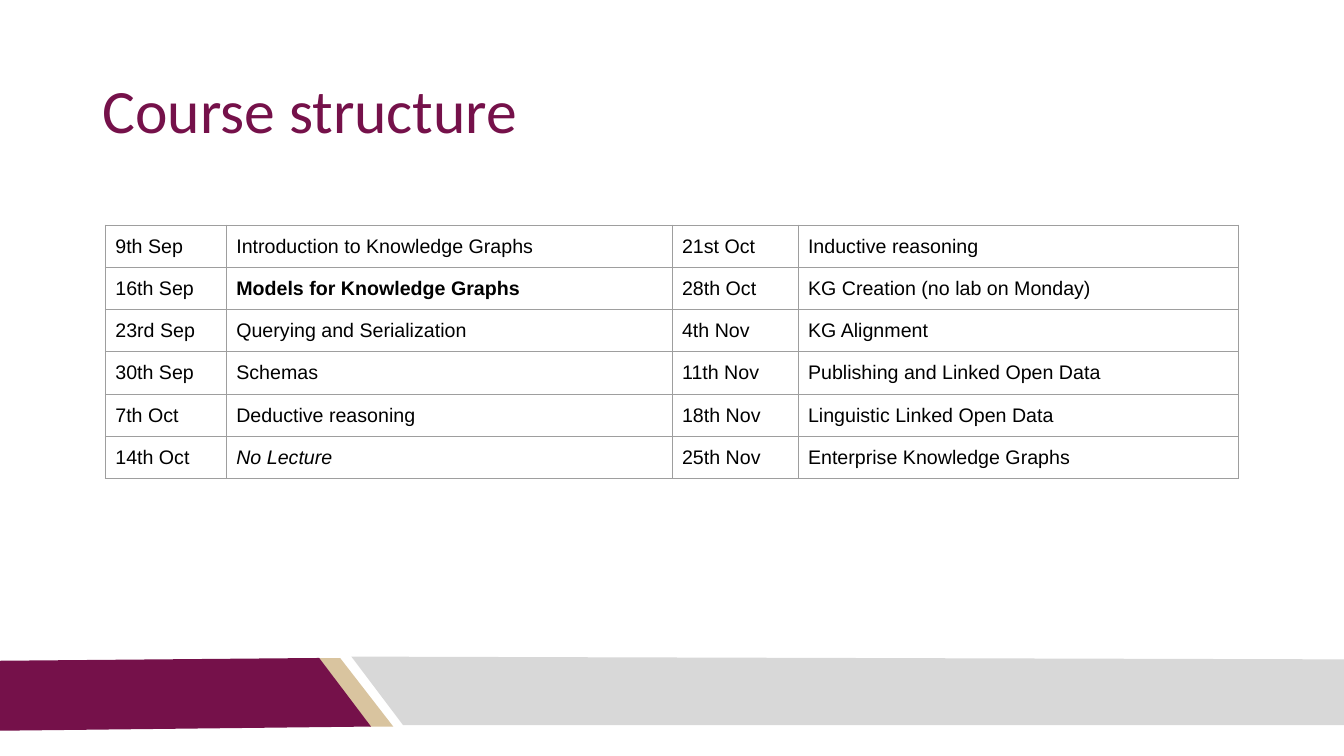
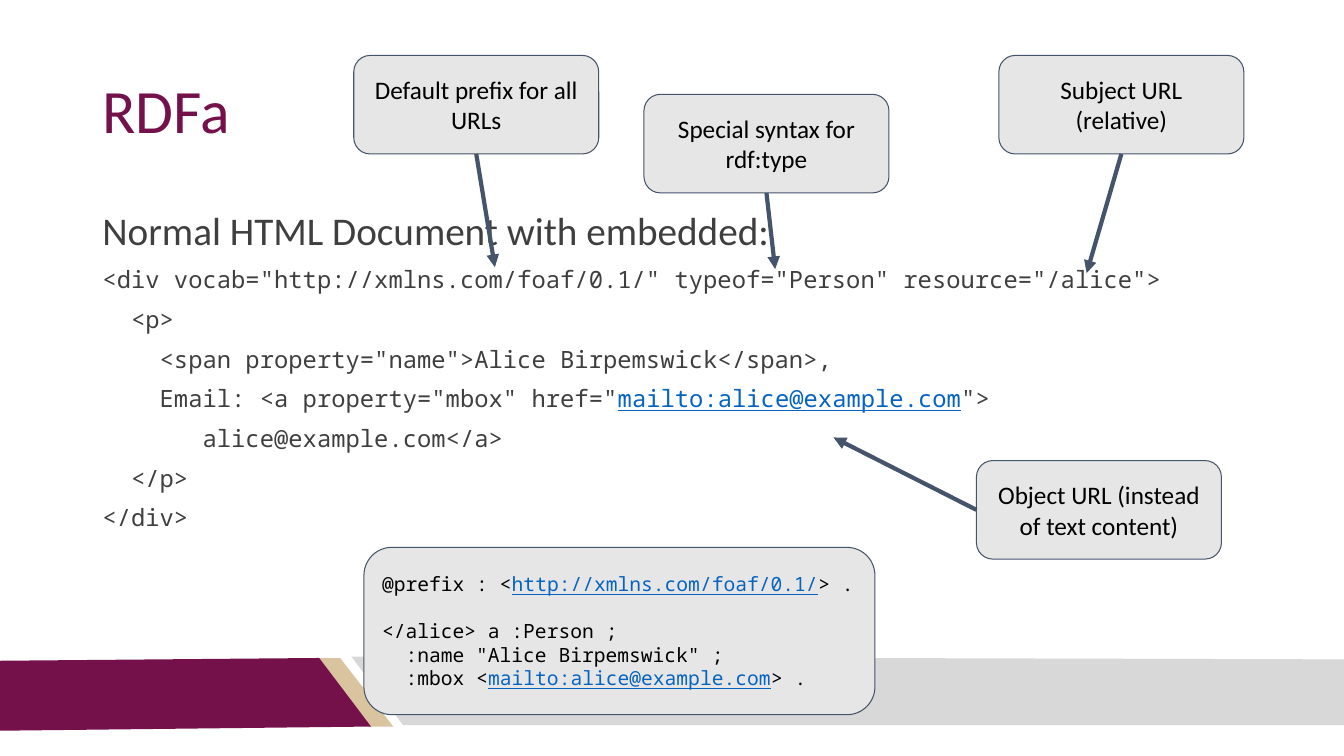
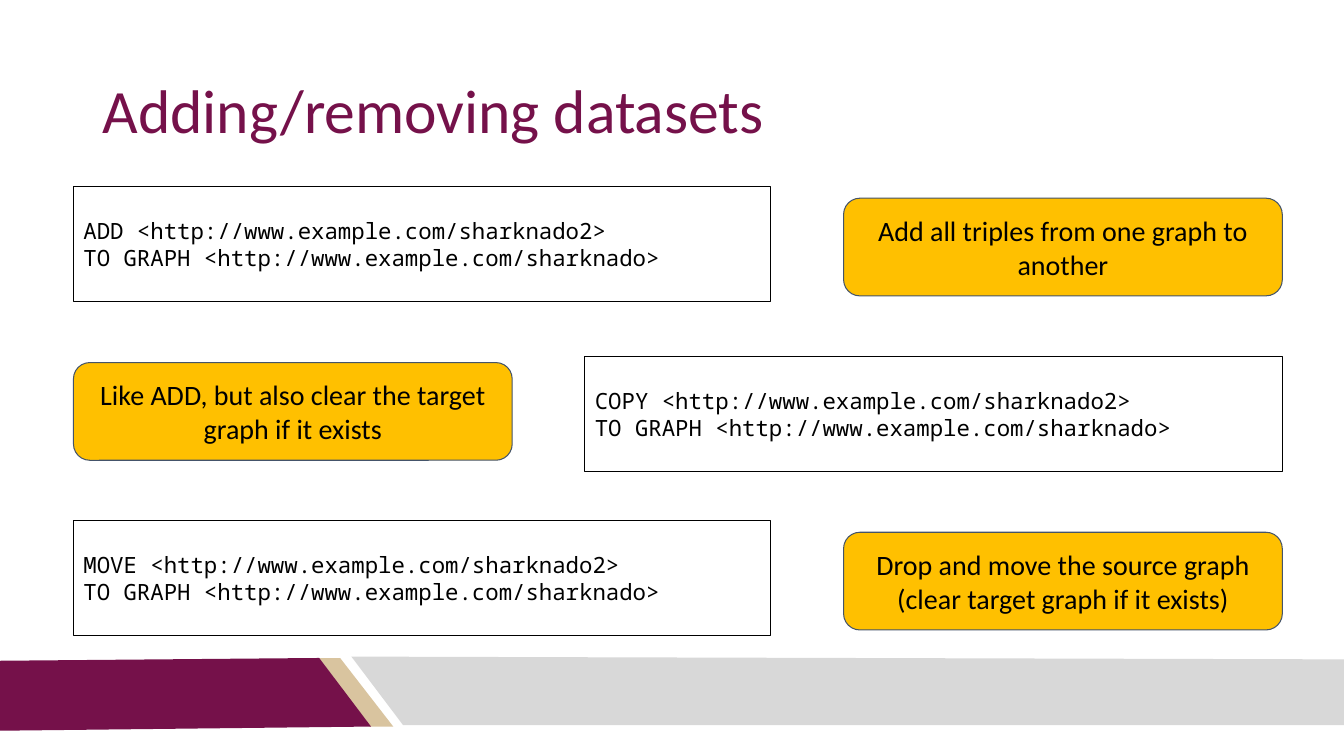
from lxml.etree import SubElement
from pptx import Presentation
from pptx.dml.color import RGBColor
from pptx.enum.shapes import MSO_CONNECTOR as Connector, MSO_SHAPE as Preset
from pptx.enum.text import MSO_ANCHOR as Anchor, MSO_AUTO_SIZE as AutoSize, PP_ALIGN as Align
from pptx.oxml import parse_xml
from pptx.oxml.ns import nsdecls, qn
from pptx.util import Pt

COLORS = {
    "maroon": "75114A", "tan": "D9C49F", "band": "D8D8D8", "body": "3F3F3F",
    "black": "000000", "white": "FFFFFF", "link": "0563C1", "slate": "44546A",
    "callout": "E7E6E6", "note": "FFC000", "grid": "9E9E9E",
}
SANS, MONO, TABLE_FONT = "Calibri", "Noto Sans Mono", "Arial"
INSET = 7.2
TITLE_BOX = (66, 28.8, 828, 104.4)
BODY_BOX = (66, 144, 828, 300)
BANDS = [
    ("tan", [(227.5, 470.2), (243.4, 470.2), (280.8, 519.1), (264.2, 519.1)]),
    ("maroon", [(0, 471.6), (228.2, 470.2), (265, 519.1), (0, 522)]),
    ("band", [(251.3, 468.7), (960, 470.9), (960, 517.7), (288, 517.7)]),
]

SCHEDULE = [
    ("9th Sep", "Introduction to Knowledge Graphs", "21st Oct", "Inductive reasoning"),
    ("16th Sep", "Models for Knowledge Graphs", "28th Oct", "KG Creation (no lab on Monday)"),
    ("23rd Sep", "Querying and Serialization", "4th Nov", "KG Alignment"),
    ("30th Sep", "Schemas", "11th Nov", "Publishing and Linked Open Data"),
    ("7th Oct", "Deductive reasoning", "18th Nov", "Linguistic Linked Open Data"),
    ("14th Oct", "No Lecture", "25th Nov", "Enterprise Knowledge Graphs"),
]
CURRENT_TOPIC, FREE_WEEK = "Models for Knowledge Graphs", "No Lecture"

# In a tuple, every second piece is styled as a link
RDFA_CODE = [
    '<div vocab="http://xmlns.com/foaf/0.1/" typeof="Person" resource="/alice">',
    "  <p>",
    '    <span property="name">Alice Birpemswick</span>,',
    ('    Email: <a property="mbox" href="', "mailto:alice@example.com", '">'),
    "       alice@example.com</a>",
    "  </p>",
    "</div>",
]
TURTLE_PREFIX = ("@prefix : <", "http://xmlns.com/foaf/0.1/", "> .")
TURTLE_TRIPLES = [
    "</alice> a :Person ;",
    '  :name "Alice Birpemswick" ;',
    ("  :mbox <", "mailto:alice@example.com", "> ."),
]

# Callout text, left, top, connection site (1 left, 2 bottom), arrow tip
CALLOUT_SIZE = (175, 70.4)
CALLOUTS = [
    ("Default prefix for all URLs", 252.7, 39.6, 2, (353.5, 190.8)),
    ("Special syntax for rdf:type", 460, 67.4, 2, (553.7, 192.2)),
    ("Subject URL (relative)", 713.5, 39.6, 2, (776.2, 195.1)),
    ("Object URL (instead of text content)", 697.5, 329, 1, (595.4, 312.5)),
]

# Command, explanation, top of the code, top of the note, code on the left
DATASET_ROWS = [
    ("ADD", "Add all triples from one graph to another", 133.2, 141.6, True),
    ("COPY", "Like ADD, but also clear the target graph if it exists", 254.5, 259, False),
    ("MOVE", "Drop and move the source graph (clear target graph if it exists)", 371.6, 380.2, True),
]


def rgb(name):
    return RGBColor.from_string(COLORS[name])


def points(values):
    return [Pt(value) for value in values]


def write_text(frame, lines, font=SANS, size=18, color="black", bold=False, italic=False,
               align=Align.LEFT, spacing=None, before=0):
    """Add lines to a frame; the frame's first paragraph gets no space before."""
    for line in lines:
        first = not frame.paragraphs[0].runs
        paragraph = frame.paragraphs[0] if first else frame.add_paragraph()
        paragraph.alignment = align
        paragraph.space_before = Pt(0 if first else before)
        if spacing:
            paragraph.line_spacing = spacing
        for index, piece in enumerate((line,) if isinstance(line, str) else line):
            is_link = index % 2 == 1
            run = paragraph.add_run()
            run.text = piece
            run.font.name, run.font.size = font, Pt(size)
            run.font.bold, run.font.italic = bold, italic
            run.font.color.rgb = rgb("link" if is_link else color)
            if is_link:
                run.font.underline = True


def set_up_frame(frame, anchor):
    frame.word_wrap = True
    frame.auto_size = AutoSize.NONE
    frame.vertical_anchor = anchor
    frame.margin_left = frame.margin_right = frame.margin_top = frame.margin_bottom = Pt(INSET)
    return frame


def place_placeholder(placeholder, box, anchor):
    placeholder.left, placeholder.top, placeholder.width, placeholder.height = points(box)
    return set_up_frame(placeholder.text_frame, anchor)


def add_panel(slide, box, preset, fill, line):
    panel = slide.shapes.add_shape(preset, *points(box))
    panel.shadow.inherit = False
    panel.fill.solid()
    panel.fill.fore_color.rgb = rgb(fill)
    panel.line.color.rgb = rgb(line)
    panel.line.width = Pt(0.75)
    set_up_frame(panel.text_frame, Anchor.MIDDLE)
    return panel


def add_bands(slide):
    for color, corners in BANDS:
        outline = slide.shapes.build_freeform(*corners[0], scale=Pt(1))
        outline.add_line_segments(corners[1:], close=True)
        band = outline.convert_to_shape()
        band.shadow.inherit = False
        band.fill.solid()
        band.fill.fore_color.rgb = rgb(color)
        band.line.fill.background()


def start_slide(deck, layout, title):
    slide = deck.slides.add_slide(deck.slide_layouts.get_by_name(layout))
    add_bands(slide)
    frame = place_placeholder(slide.shapes.title, TITLE_BOX, Anchor.MIDDLE)
    write_text(frame, [title], size=44, color="maroon", spacing=0.9)
    return slide


def set_borders(cell):
    properties = cell._tc.get_or_add_tcPr()
    for index, side in enumerate(("lnL", "lnR", "lnT", "lnB")):
        properties.insert(index, parse_xml(
            f'<a:{side} {nsdecls("a")} w="{Pt(0.75)}"><a:solidFill>'
            f'<a:srgbClr val="{COLORS["grid"]}"/></a:solidFill></a:{side}>'))


def add_schedule(slide, left, top, widths, row_height):
    table = slide.shapes.add_table(
        len(SCHEDULE), len(widths), Pt(left), Pt(top),
        Pt(sum(widths)), Pt(row_height * len(SCHEDULE))).table
    table.first_row = table.horz_banding = False
    for column, width in zip(table.columns, widths):
        column.width = Pt(width)
    for row, entries in zip(table.rows, SCHEDULE):
        row.height = Pt(row_height)
        for cell, entry in zip(row.cells, entries):
            cell.margin_left = cell.margin_right = Pt(INSET)
            cell.margin_top = cell.margin_bottom = Pt(INSET)
            cell.fill.background()
            set_borders(cell)
            write_text(cell.text_frame, [entry], font=TABLE_FONT, size=14,
                       bold=entry == CURRENT_TOPIC, italic=entry == FREE_WEEK)


def add_code_body(slide, box):
    frame = place_placeholder(slide.placeholders[1], box, Anchor.TOP)
    write_text(frame, ["Normal HTML Document with embedded:"], size=28, color="body", spacing=0.9)
    write_text(frame, RDFA_CODE, font=MONO, size=17, color="body", spacing=0.9, before=10)
    for paragraph in frame.paragraphs:
        properties = paragraph._p.get_or_add_pPr()
        properties.set("marL", "0")
        properties.set("indent", "0")
        SubElement(properties, qn("a:buNone"))


def add_callout(slide, text, box, site, tip):
    callout = add_panel(slide, box, Preset.ROUNDED_RECTANGLE, "callout", "slate")
    write_text(callout.text_frame, [text], align=Align.CENTER)
    arrow = slide.shapes.add_connector(Connector.STRAIGHT, *points(box[:2]), *points(tip))
    arrow.begin_connect(callout, site)
    arrow.line.color.rgb = rgb("slate")
    arrow.line.width = Pt(3)
    SubElement(arrow.line._get_or_add_ln(), qn("a:tailEnd"), type="triangle")
    SubElement(arrow.element.spPr, qn("a:effectLst"))


def add_turtle(slide, box):
    panel = add_panel(slide, box, Preset.ROUNDED_RECTANGLE, "callout", "slate")
    style = {"font": MONO, "size": 14}
    write_text(panel.text_frame, [TURTLE_PREFIX], **style)
    write_text(panel.text_frame, TURTLE_TRIPLES[:1], before=16.8, **style)
    write_text(panel.text_frame, TURTLE_TRIPLES[1:], **style)


def add_dataset_row(slide, left, width, command, explanation, code_top, note_top, code_first):
    code_width, note_width = 498.2, 313.4
    code_left = left if code_first else left + width - code_width
    note_left = left + width - note_width if code_first else left
    code = add_panel(slide, (code_left, code_top, code_width, 82.2),
                     Preset.RECTANGLE, "white", "black")
    write_text(code.text_frame, [f"{command} <http://www.example.com/sharknado2>",
                                 "TO GRAPH <http://www.example.com/sharknado>"],
               font=MONO, size=16)
    note = add_panel(slide, (note_left, note_top, note_width, 69.8),
                     Preset.ROUNDED_RECTANGLE, "note", "slate")
    write_text(note.text_frame, [explanation], size=20, align=Align.CENTER)


def main():
    deck = Presentation()
    deck.slide_width, deck.slide_height = Pt(960), Pt(540)

    # Course schedule
    course = start_slide(deck, "Title Only", "Course structure")
    add_schedule(course, 75.2, 160.8, (86.4, 318.4, 90, 314.6), 30.2)

    # Annotated markup
    rdfa = start_slide(deck, "Title and Content", "RDFa")
    add_code_body(rdfa, BODY_BOX)
    for text, left, top, site, tip in CALLOUTS:
        add_callout(rdfa, text, (left, top, *CALLOUT_SIZE), site, tip)
    add_turtle(rdfa, (260, 391, 365, 119.5))

    # Graph commands
    datasets = start_slide(deck, "Title Only", "Adding/removing datasets")
    for row in DATASET_ROWS:
        add_dataset_row(datasets, 52.5, 863.5, *row)

    deck.save("out.pptx")


if __name__ == "__main__":
    main()
